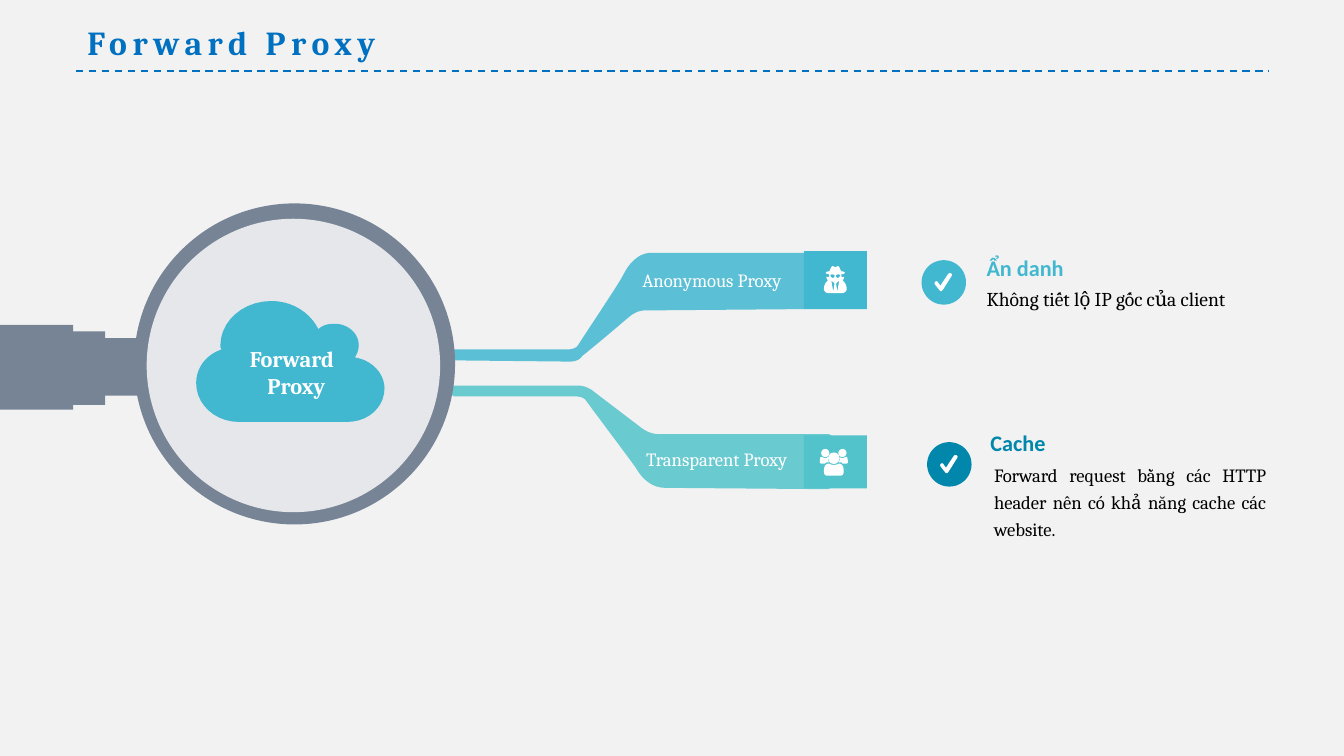
import pptx
import pptx.dml.color
import pptx.enum.dml
import pptx.enum.shapes
import pptx.enum.text
import pptx.oxml
import pptx.oxml.ns
import pptx.util

Pt = pptx.util.Pt
SHAPE = pptx.enum.shapes.MSO_SHAPE
ALIGN = pptx.enum.text.PP_ALIGN
ANCHOR = pptx.enum.text.MSO_ANCHOR

COLORS = {
    "page": "F2F2F2", "title": "0070C0", "frame": "778495", "glass": "E6E7EA",
    "sky": "41B7D0", "mint": "52C3CB", "deep": "0187AC",
    "white": "FFFFFF", "black": "000000",
}

# Outlines in points: a pair is a corner, six numbers are a cubic curve.
CLOUD = [
    (185.8, 226.1), (128.2, 226.1), (115.2, 226.1, 105.1, 216.7, 105.1, 205.2),
    (105.1, 197.3, 110.2, 190.1, 118.8, 187.2), (118.1, 186.5, 118.1, 185.8, 118.1, 185),
    (118.1, 172.1, 130.3, 161.3, 145.4, 161.3), (157, 161.3, 166.3, 167.8, 170.6, 176.4),
    (172.8, 174.2, 175.7, 173.5, 179.3, 173.5), (186.5, 173.5, 192.2, 178.6, 192.2, 185),
    (192.2, 187.2, 191.5, 189.4, 190.1, 191.5), (199.4, 193, 206, 200.2, 206, 208.1),
    (206, 218.2, 197.3, 226.1, 185.8, 226.1),
]
UPPER_ARM = [
    (305.3, 193.7), (308.9, 193.7, 311, 192.2, 311.8, 190.8),
    (318.2, 185.8, 337.7, 169.2, 337.7, 169.2), (339.8, 167.8, 342, 166.3, 345.6, 166.3),
    (429.8, 165.6), (431.3, 165.6, 432, 165.6, 432.7, 164.9), (449.3, 151.2),
    (450, 150.5, 450, 149.8, 449.3, 149), (432, 136.1), (429.8, 135.4), (349.2, 135.4),
    (342, 135.4, 337, 141.1, 334.1, 146.9), (331.2, 152.6, 314.6, 177.1, 309.6, 185),
    (308.2, 187.2, 304.6, 187.2, 303.8, 187.2), (243.4, 187.2), (234.7, 192.2), (238.3, 193),
]
LOWER_ARM = [
    (309.6, 206.6), (313.2, 206.6, 315.4, 208.1, 316.8, 208.8),
    (323.3, 213.8, 344.2, 229.7, 344.2, 229.7), (346.3, 231.1, 349.2, 232.6, 352.8, 232.6),
    (443.5, 232.6), (444.2, 232.6, 445.7, 233.3, 445.7, 234), (463.7, 246.2),
    (464.4, 247, 464.4, 247.7, 463.7, 248.4), (445.7, 260.6),
    (445, 261.4, 444.2, 262.1, 443.5, 262.1), (356.4, 261.4),
    (348.5, 261.4, 343.4, 255.6, 340.6, 250.6), (337, 245.5, 319.7, 222.5, 313.9, 214.6),
    (312.5, 212.4, 308.9, 212.4, 307.4, 212.4), (243.4, 212.4), (233.3, 207.4), (238.3, 206.6),
]
TICK = [(10.1, 16.6), (9.4, 15.8), (7.2, 13), (6.6, 12, 7.6, 10.8, 8.6, 11.5), (10.1, 13.7),
        (14.4, 7.2), (15, 6.6, 16.8, 7, 16.2, 8.3), (11.5, 15.8), (10.8, 16.6)]

# Left halves of the symmetric icons
SPY_AXIS = 447.5
SPY_HALF = [
    (447.5, 157), (443.5, 157), (442.8, 157, 441.4, 156.2, 441.4, 154.8),
    (441.4, 153.4, 442.1, 151.2, 443.5, 150.5), (442.6, 148.3), (444.2, 148.3), (444.2, 146.9),
    (443.6, 146.9, 442.4, 146.7, 442.4, 146.2), (442.4, 145.4, 444.2, 145.4, 444.2, 145.4),
    (445, 144.7, 445, 142.6, 446.2, 142.6), (446.4, 142.6, 447.1, 143.1, 447.5, 143.1),
]
SPY_LENS = [(444.8, 147.3), (445.6, 146.9, 446.5, 146.9, 447.2, 147.5),
            (447.2, 149.3, 445.2, 149.5, 444.8, 147.3)]
SPY_LAPEL = [(447.1, 151.9), (446.4, 151.2), (445.4, 150.4), (446.4, 156.3)]
USERS_AXIS = 446.7
USERS_BODY_HALF = [(446.7, 254.9), (443.5, 254.9), (442.1, 254.9, 441.4, 254.2, 441.4, 252.7),
                   (441.4, 251.3, 441.4, 248.4, 444.2, 248.4),
                   (444.2, 248.4, 445, 249.1, 446.7, 249.1)]
USERS_SIDE = [(442.1, 248.4), (440.6, 248.4), (439.9, 248.4, 439.2, 248.4, 439.2, 247.7),
              (439.2, 247, 439.2, 244.8, 439.9, 244.8), (440.6, 244.8, 441.4, 245.5, 442.1, 245.5),
              (442.8, 245.5, 442.8, 245.5, 443.5, 244.8), (443.5, 246.2, 443.5, 247, 444.2, 247.7),
              (442.8, 247.7, 442.1, 247.7, 442.1, 248.4)]


def rgb(color):
    return pptx.dml.color.RGBColor.from_string(COLORS[color])


def flatten(outline, steps=10):
    """Turn corners and cubic curves into a list of points."""
    points = []
    for part in outline:
        if len(part) == 2:
            points.append(part)
            continue
        x0, y0 = points[-1]
        x1, y1, x2, y2, x3, y3 = part
        for step in range(1, steps + 1):
            t = step / steps
            a, b, c, d = (1 - t) ** 3, 3 * t * (1 - t) ** 2, 3 * t * t * (1 - t), t ** 3
            points.append((a * x0 + b * x1 + c * x2 + d * x3,
                           a * y0 + b * y1 + c * y2 + d * y3))
    return points


def mirror(points, axis):
    return [(2 * axis - x, y) for x, y in reversed(points)]


def paint(shape, color, opacity=100):
    shape.shadow.inherit = False
    shape.fill.solid()
    shape.fill.fore_color.rgb = rgb(color)
    shape.line.fill.background()
    if opacity < 100:
        srgb = shape._element.spPr.find(".//" + pptx.oxml.ns.qn("a:srgbClr"))
        srgb.append(pptx.oxml.parse_xml(
            f'<a:alpha {pptx.oxml.ns.nsdecls("a")} val="{opacity * 1000}"/>'))


def add_preset(slide, kind, left, top, width, height, color):
    shape = slide.shapes.add_shape(kind, Pt(left), Pt(top), Pt(width), Pt(height))
    paint(shape, color)


def add_outline(slide, contours, color, opacity=100):
    contours = [[(Pt(x), Pt(y)) for x, y in points] for points in contours]
    builder = slide.shapes.build_freeform(*contours[0][0], scale=1.0)
    builder.add_line_segments(contours[0][1:], close=True)
    for points in contours[1:]:
        builder.move_to(*points[0])
        builder.add_line_segments(points[1:], close=True)
    paint(builder.convert_to_shape(), color, opacity)


def style(paragraph, size, color, font="Cambria", bold=False, align=ALIGN.LEFT, spacing=1.0):
    paragraph.alignment = align
    paragraph.line_spacing = spacing
    paragraph.font.size = Pt(size)
    paragraph.font.name = font
    paragraph.font.bold = bold
    paragraph.font.color.rgb = rgb(color)


def add_label(slide, box, text, size, color, inset=(7.2, 3.6), anchor=ANCHOR.TOP, **look):
    frame = slide.shapes.add_textbox(*map(Pt, box)).text_frame
    frame.word_wrap = True
    frame.vertical_anchor = anchor
    frame.margin_left = frame.margin_right = Pt(inset[0])
    frame.margin_top = frame.margin_bottom = Pt(inset[1])
    frame.text = text
    for paragraph in frame.paragraphs:
        style(paragraph, size, color, **look)
    return frame


def add_title(slide, text):
    title = slide.shapes.title
    title.left, title.top, title.width, title.height = map(Pt, (39.6, 7.9, 190, 28.8))
    frame = title.text_frame
    frame.text = text
    frame.word_wrap = True
    frame.auto_size = pptx.enum.text.MSO_AUTO_SIZE.NONE
    frame.vertical_anchor = ANCHOR.TOP
    style(frame.paragraphs[0], 18, "title", bold=True)
    frame.paragraphs[0].runs[0]._r.get_or_add_rPr().set("spc", "300")

    rule = slide.shapes.add_connector(pptx.enum.shapes.MSO_CONNECTOR.STRAIGHT,
                                      Pt(40.6), Pt(38.1), Pt(679.6), Pt(38.1))
    rule.line.color.rgb = rgb("title")
    rule.line.width = Pt(1)
    rule.line.dash_style = pptx.enum.dml.MSO_LINE.DASH
    rule._element.spPr.append(pptx.oxml.parse_xml(
        f'<a:effectLst {pptx.oxml.ns.nsdecls("a")}/>'))


def add_benefit(slide, disc, color, heading, heading_at, text, text_box, size, align):
    left, top = disc
    add_preset(slide, SHAPE.OVAL, left, top, 23.8, 23.8, color)
    add_outline(slide, [[(left + x, top + y) for x, y in flatten(TICK)]], "white")
    add_label(slide, (*heading_at, 80.6, 13), heading, 11.9, color, inset=(11.5, 0),
              anchor=ANCHOR.MIDDLE, font="Calibri", bold=True)
    add_label(slide, text_box, text, size, "black", inset=(11.5, 0), align=align, spacing=1.2)


def add_spy(slide):
    half = flatten(SPY_HALF)
    holes = [flatten(SPY_LENS), flatten(SPY_LAPEL)]
    add_outline(slide, [half + mirror(half, SPY_AXIS), *holes,
                        *(mirror(hole, SPY_AXIS) for hole in holes)], "white")


def add_users(slide):
    body, side = flatten(USERS_BODY_HALF), flatten(USERS_SIDE)
    add_outline(slide, [body + mirror(body, USERS_AXIS), side, mirror(side, USERS_AXIS)], "white")
    for offset, top, size in ((-4.6, 240.5, 4.4), (0, 242.4, 6.2), (4.6, 240.5, 4.4)):
        add_preset(slide, SHAPE.OVAL, USERS_AXIS + offset - size / 2, top, size, size, "white")


def add_magnifier(slide):
    for left, top, width, height in ((0, 174.1, 39.2, 45.4), (39.2, 177.6, 17.2, 39.4),
                                     (56.4, 181.2, 20, 30.8)):
        add_preset(slide, SHAPE.RECTANGLE, left, top, width, height, "frame")
    add_preset(slide, SHAPE.OVAL, 71.8, 109, 172, 172, "frame")
    add_preset(slide, SHAPE.OVAL, 78.6, 117.2, 157.2, 157.2, "glass")
    add_outline(slide, [flatten(CLOUD)], "sky")
    caption = add_label(slide, (126.7, 181.4, 64.1, 36), "Forward\nProxy", 12, "white", bold=True)
    caption.paragraphs[1].alignment = ALIGN.CENTER


def main():
    deck = pptx.Presentation()
    deck.slide_width, deck.slide_height = Pt(720), Pt(405)
    slide = deck.slides.add_slide(deck.slide_layouts[5])
    slide.background.fill.solid()
    slide.background.fill.fore_color.rgb = rgb("page")
    add_title(slide, "Forward Proxy")

    # Benefits on the right
    add_benefit(slide, (493.7, 139.4), "sky", "Ẩn danh", (517, 136.8),
                "Không tiết lộ IP gốc của client", (517, 151.2, 154.8, 23.8), 10.5, ALIGN.LEFT)
    add_benefit(slide, (496.7, 236.9), "deep", "Cache", (519.1, 230.4),
                "Forward request bằng các HTTP header nên có khả năng cache các website.",
                (521, 246.2, 168.7, 45), 10, ALIGN.JUSTIFY)

    # Branches with their icons
    for arm, color, top, height, text, label in (
            (UPPER_ARM, "sky", 134.6, 31, "Anonymous Proxy", (337, 140.4, 93.6, 19.4)),
            (LOWER_ARM, "mint", 233.3, 28.4, "Transparent Proxy", (339.1, 236.2, 95.8, 19.4))):
        add_outline(slide, [flatten(arm)], color, opacity=85)
        add_preset(slide, SHAPE.RECTANGLE, 430.6, top, 33.8, height, color)
        add_label(slide, label, text, 10, "white")
    add_spy(slide)
    add_users(slide)

    add_magnifier(slide)
    deck.save("out.pptx")


if __name__ == "__main__":
    main()
